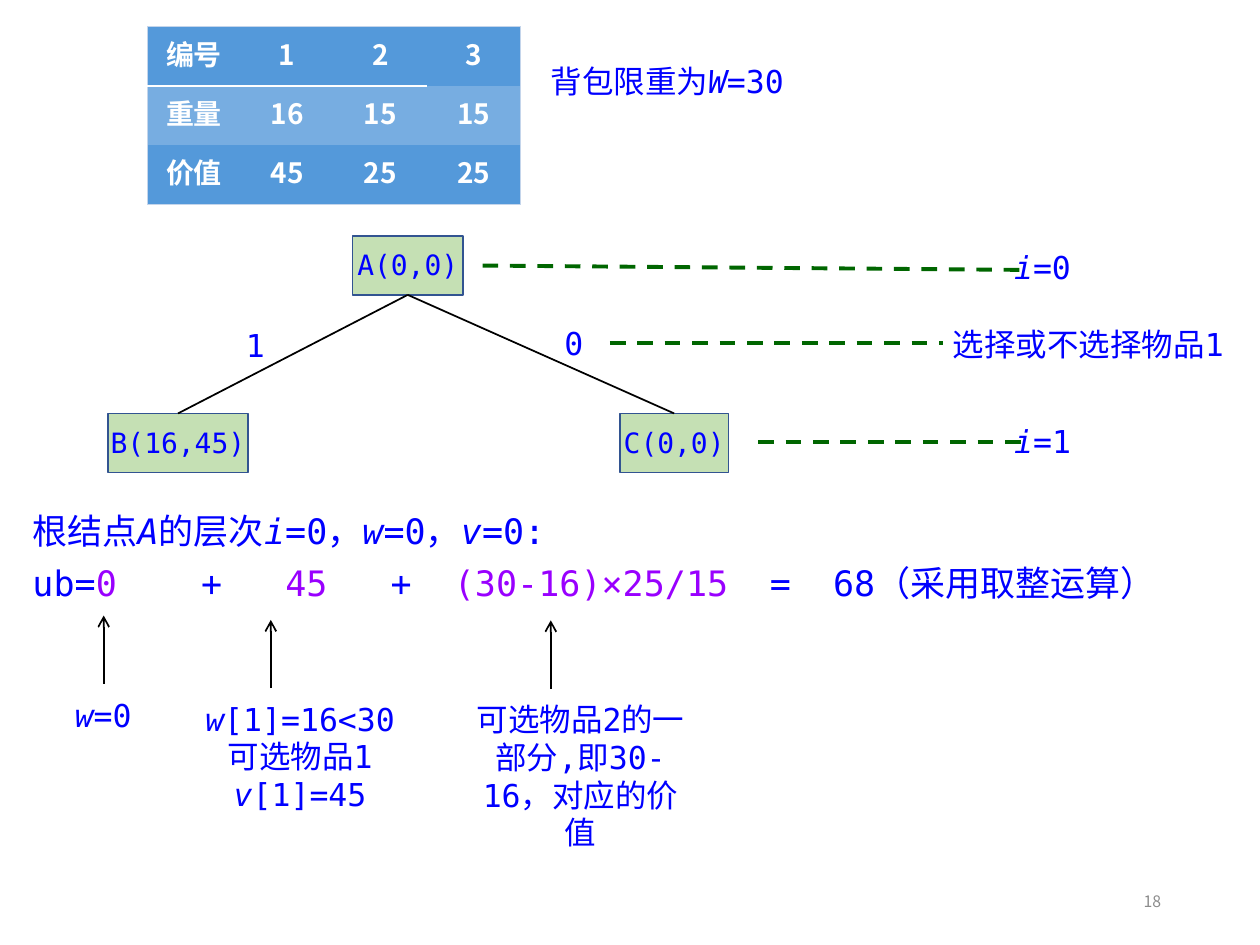
from lxml import etree
from pptx import Presentation
from pptx.dml.color import RGBColor
from pptx.enum.dml import MSO_LINE
from pptx.enum.shapes import MSO_CONNECTOR, MSO_SHAPE
from pptx.enum.text import MSO_ANCHOR, PP_ALIGN
from pptx.oxml.ns import qn
from pptx.util import Pt

LEFT, CENTER, RIGHT = PP_ALIGN.LEFT, PP_ALIGN.CENTER, PP_ALIGN.RIGHT
MIDDLE, TOP = MSO_ANCHOR.MIDDLE, MSO_ANCHOR.TOP
RECT, STRAIGHT, DASH = MSO_SHAPE.RECTANGLE, MSO_CONNECTOR.STRAIGHT, MSO_LINE.DASH
MONO, CJK = "DejaVu Sans Mono", "Noto Sans CJK SC"
BLUE, PURPLE, GREEN, BLACK, WHITE = "0000FF", "9900FF", "006600", "000000", "FFFFFF"
NODE_FILL, NODE_LINE, GREY = "C5E0B4", "325491", "8C8C8C"
ROW_FILLS, TABLE_EDGE = ["5499DA", "77ADE1", "5499DA"], "C4D5EB"
NO_STYLE = "{2D5ABB26-0587-4C30-8999-92F81FD0307C}"

# Content: in texts, every second part between bars is accented
ITEMS = [["编号", "1", "2", "3"], ["重量", "16", "15", "15"], ["价值", "45", "25", "25"]]
TABLE_BOX = (84.25, 15.25, 213, 101.5)
NODES = {  # text: left, top, width
    "A(0,0)": (201.5, 134.75, 63),
    "B(16,45)": (61.75, 236.25, 80),
    "C(0,0)": (354.25, 236.25, 62),
}
NODE_H = 33.75
EDGES = [("A(0,0)", "B(16,45)"), ("A(0,0)", "C(0,0)")]
LEVEL_LINES = [(275.75, 151.75, 585.5, 154.25), (348.5, 196, 539, 196),
               (433.25, 252.5, 584, 252.5)]
LABELS = [  # text, left, top, width
    ("|i|=0", 579.5, 141.5, 42),
    ("1", 140.5, 186, 12),
    ("0", 322.5, 185.25, 12),
    ("选择或不选择物品1", 544.5, 185.75, 168),
    ("|i|=1", 579.5, 241.25, 46),
]
BOUND = ["根结点|A|的层次|i|=0，|w|=0，|v|=0:",
         "ub=|0|\t+\t|45|\t+\t|(30-16)×25/15|\t=\t68（采用取整运算）"]
BOUND_COLUMNS = [8, 12, 17, 20, 35, 38]  # tab stops in characters
CHAR_W = 12.04
NOTES = [  # lines, left, top, width, height, arrow x, arrow top
    (["|w|=0"], 34, 394, 50, 29, 59.25, 351.75),
    (["|w|[1]=16<30", "可选物品1", "|v|[1]=45"], 106.5, 396.25, 130, 73, 154.75, 354.25),
    (["可选物品2的一部分,即30-16，对应的价值"], 264, 396.5, 135.5, 73, 314.75, 354.5),
]
ARROW_LEN = 39


def rgb(value):
    return RGBColor.from_string(value)


def style_font(font, size, color, name=MONO):
    font.size, font.name = Pt(size), name
    font.color.rgb = rgb(color)


def set_east_asian(r):
    etree.SubElement(r._r.get_or_add_rPr(), qn("a:ea"), typeface=CJK)


def write(p, text, size, accent=None, align=LEFT, spacing=None):
    """Fill a paragraph; accented parts are italic unless a colour is given."""
    p.alignment = align
    if spacing:
        p.line_spacing = Pt(spacing)
    for i, part in enumerate(text.split("|")):
        if not part:
            continue
        r = p.add_run()
        r.text = part
        marked = i % 2 == 1
        style_font(r.font, size, accent if marked and accent else BLUE)
        r.font.italic = marked and not accent
        set_east_asian(r)


def set_frame(tf, margins=(7.2, 3.6), anchor=TOP, wrap=True):
    tf.word_wrap, tf.vertical_anchor = wrap, anchor
    tf.margin_left = tf.margin_right = Pt(margins[0])
    tf.margin_top = tf.margin_bottom = Pt(margins[1])


def add_text(box, lines, size, margins=(7.2, 3.6), wrap=True, accents=(), **fmt):
    tf = slide.shapes.add_textbox(*map(Pt, box)).text_frame
    set_frame(tf, margins, wrap=wrap)
    for i, line in enumerate(lines):
        p = tf.add_paragraph() if i else tf.paragraphs[0]
        write(p, line, size, accents[i] if accents else None, **fmt)
    return tf


def add_line(points, color, width, dash=None, arrow=False):
    line = slide.shapes.add_connector(STRAIGHT, *map(Pt, points))
    line.line.color.rgb, line.line.width = rgb(color), Pt(width)
    if dash:
        line.line.dash_style = dash
    if arrow:
        etree.SubElement(line.line._get_or_add_ln(), qn("a:tailEnd"), type="arrow")
    etree.SubElement(line._element.spPr, qn("a:effectLst"))
    return line


def set_borders(cell, borders):
    """Borders are (side, colour, width), with sides in the order L, R, T, B."""
    tcPr = cell._tc.get_or_add_tcPr()
    for i, (side, color, width) in enumerate(borders):
        ln = etree.Element(qn("a:ln" + side), w=str(Pt(width)))
        fill = etree.SubElement(ln, qn("a:solidFill"))
        etree.SubElement(fill, qn("a:srgbClr"), val=color)
        tcPr.insert(i, ln)


prs = Presentation()
prs.slide_width, prs.slide_height = Pt(720), Pt(540)
slide = prs.slides.add_slide(prs.slide_layouts[6])

# Tree nodes and edges
nodes = {}
for text, (x, y, w) in NODES.items():
    sp = slide.shapes.add_shape(RECT, Pt(x), Pt(y), Pt(w), Pt(NODE_H))
    sp.shadow.inherit = False
    sp.fill.solid()
    sp.fill.fore_color.rgb = rgb(NODE_FILL)
    sp.line.color.rgb, sp.line.width = rgb(NODE_LINE), Pt(1)
    set_frame(sp.text_frame, (0, 0), MIDDLE)
    write(sp.text_frame.paragraphs[0], text, 16, align=CENTER, spacing=18)
    nodes[text] = sp
for parent, child in EDGES:
    edge = add_line((0, 0, 0, 0), BLACK, 1)
    edge.begin_connect(nodes[parent], 2)
    edge.end_connect(nodes[child], 0)

# Level guides and labels
for points in LEVEL_LINES:
    add_line(points, GREEN, 2.25, DASH)
for text, x, y, w in LABELS:
    add_text((x, y, w, 21.75), [text], 18, margins=(0, 0))

# Upper bound formula
tf = add_text((11.5, 281.5, 664, 67.5), BOUND, 20, accents=(None, PURPLE), spacing=30)
tabs = etree.SubElement(tf.paragraphs[1]._p.get_or_add_pPr(), qn("a:tabLst"))
for column in BOUND_COLUMNS:
    etree.SubElement(tabs, qn("a:tab"), pos=str(Pt(column * CHAR_W)), algn="l")

# Notes under the formula
for lines, x, y, w, h, arrow_x, arrow_y in NOTES:
    add_text((x, y, w, h), lines, 18, align=CENTER)
    add_line((arrow_x, arrow_y + ARROW_LEN, arrow_x, arrow_y), BLACK, 1, arrow=True)

# Item table
rows, cols = len(ITEMS), len(ITEMS[0])
frame = slide.shapes.add_table(rows, cols, *map(Pt, TABLE_BOX))
table = frame.table
table._tbl.tblPr.find(qn("a:tableStyleId")).text = NO_STYLE
for i, row in enumerate(ITEMS):
    for j, text in enumerate(row):
        cell = table.cell(i, j)
        cell.text = text
        cell.fill.solid()
        cell.fill.fore_color.rgb = rgb(ROW_FILLS[i])
        p = cell.text_frame.paragraphs[0]
        p.alignment = CENTER
        r = p.runs[0]
        style_font(r.font, 16, WHITE, CJK)
        r.font.bold = True
        set_east_asian(r)
        outer = {"L": j == 0, "R": j == cols - 1, "T": i == 0, "B": i == rows - 1}
        borders = [(side, TABLE_EDGE, 0.5) for side, edge in outer.items() if edge]
        if i == 0 and j < cols - 1:
            borders.append(("B", WHITE, 1.5))
        set_borders(cell, borders)

# Capacity and slide number
add_text((307.5, 31.75, 190, 36), ["背包限重为|W|=30"], 18, wrap=False)
tf = slide.shapes.add_textbox(Pt(508.5), Pt(500.5), Pt(162), Pt(28.75)).text_frame
set_frame(tf, anchor=MIDDLE)
tf.text = "18"
p = tf.paragraphs[0]
p.alignment = RIGHT
style_font(p.runs[0].font, 9, GREY, CJK)

prs.save("out.pptx")
